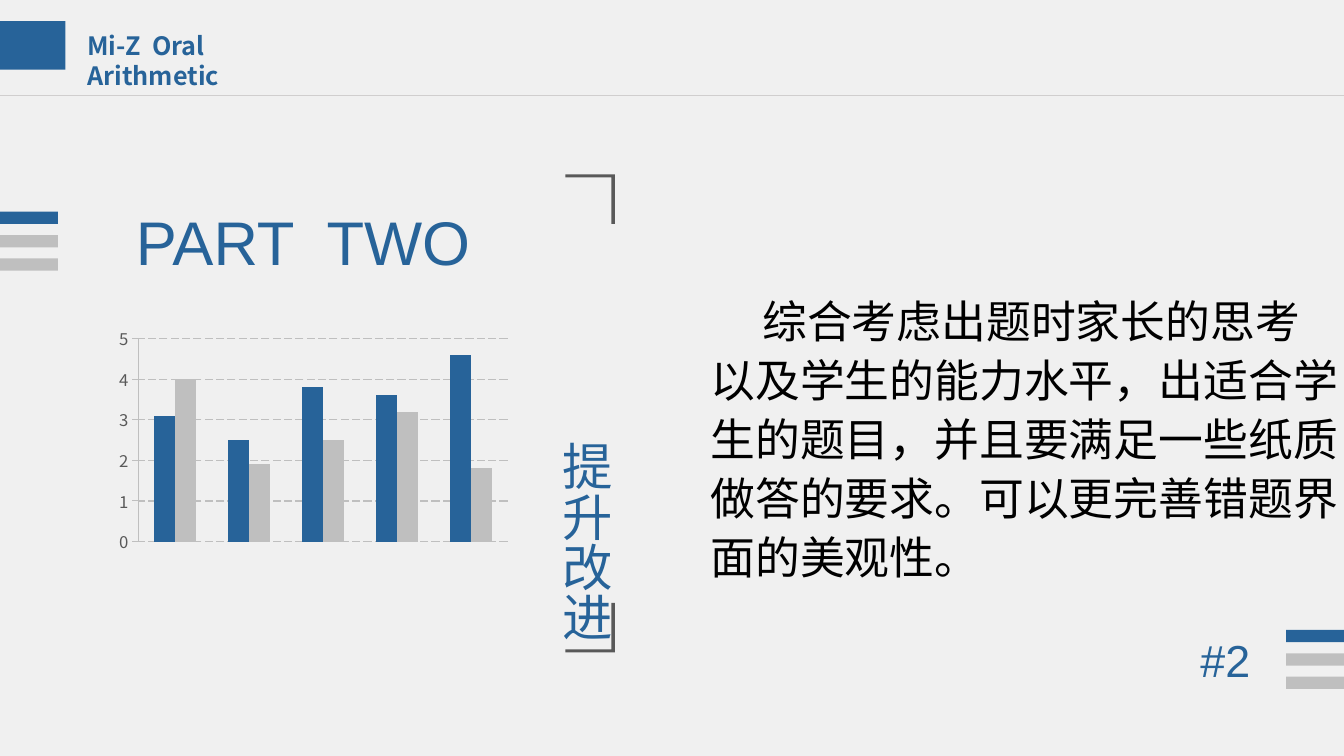
from dataclasses import dataclass

from lxml.etree import SubElement
from pptx import Presentation
from pptx.chart.data import CategoryChartData
from pptx.dml.color import RGBColor
from pptx.enum.chart import XL_CHART_TYPE as ChartType, XL_TICK_MARK as TickMark
from pptx.enum.dml import MSO_LINE_DASH_STYLE as Dash
from pptx.enum.shapes import MSO_CONNECTOR as Connector, MSO_SHAPE as Shape
from pptx.enum.text import MSO_AUTO_SIZE as AutoSize
from pptx.oxml import parse_xml
from pptx.oxml.ns import nsdecls, qn
from pptx.util import Pt


@dataclass(frozen=True)
class Theme:
    background: str = "F0F0F0"
    blue: str = "276399"
    gray: str = "BFBFBF"
    rule: str = "D0CECE"
    dark: str = "595959"
    black: str = "000000"
    latin: str = "Arial"
    chinese: str = "Noto Sans CJK SC"
    header: str = "Noto Sans CJK JP"
    title_size: float = 44
    vertical_size: float = 36
    body_size: float = 32
    header_size: float = 18
    axis_size: float = 12
    chart_size: float = 10


THEME = Theme()


def color(value):
    return RGBColor.from_string(value)


def add_block(slide, left, top, width, height, fill, preset=Shape.RECTANGLE):
    shape = slide.shapes.add_shape(preset, Pt(left), Pt(top), Pt(width), Pt(height))
    shape.shadow.inherit = False
    shape.fill.solid()
    shape.fill.fore_color.rgb = color(fill)
    shape.line.fill.background()
    return shape


def add_stripes(slide, left, top):
    for index, fill in enumerate((THEME.blue, THEME.gray, THEME.gray)):
        add_block(slide, left, top + index * 16.7, 41.3, 8.8, fill)


def add_corner(slide, top, flipped=False):
    """Add a thin right-hand bracket, opening down or, if flipped, up."""
    corner = add_block(slide, 403.9, top, 35.3, 35.3, THEME.dark, Shape.CORNER)
    corner.adjustments[0] = 0.06
    corner.adjustments[1] = 0.07
    corner.rotation = 180
    if flipped:
        corner.element.spPr.find(qn("a:xfrm")).set("flipV", "1")


def add_text(slide, text, left, top, width, height, *, size, font, fill=THEME.blue,
             bold=False, wrap=False, vertical=False, line_spacing=None, first_indent=0):
    box = slide.shapes.add_textbox(Pt(left), Pt(top), Pt(width), Pt(height))
    frame = box.text_frame
    frame.word_wrap = wrap
    frame.auto_size = AutoSize.SHAPE_TO_FIT_TEXT
    if vertical:
        box.element.txBody.find(qn("a:bodyPr")).set("vert", "eaVert")
    paragraph = frame.paragraphs[0]
    paragraph.line_spacing = line_spacing
    if first_indent:
        paragraph._p.get_or_add_pPr().set("indent", str(Pt(first_indent)))
    run = paragraph.add_run()
    run.text = text
    run.font.size = Pt(size)
    run.font.bold = bold
    run.font.color.rgb = color(fill)
    run.font.name = font
    SubElement(run._r.get_or_add_rPr(), qn("a:ea"), typeface=font)


def add_rule(slide, top, width):
    line = slide.shapes.add_connector(Connector.STRAIGHT, 0, Pt(top), width, Pt(top))
    line.line.color.rgb = color(THEME.rule)
    line.line.width = Pt(0.5)
    SubElement(line._element.spPr, qn("a:effectLst"))


def set_plot_area(chart, left, top, width, height):
    plot_area = chart._chartSpace.find(qn("c:chart")).find(qn("c:plotArea"))
    old = plot_area.find(qn("c:layout"))
    if old is not None:
        plot_area.remove(old)
    values = {"x": left, "y": top, "w": width, "h": height}
    parts = "".join(f'<c:{name} val="{value}"/>' for name, value in values.items())
    plot_area.insert(0, parse_xml(
        f'<c:layout {nsdecls("c")}><c:manualLayout><c:layoutTarget val="inner"/>'
        f'<c:xMode val="edge"/><c:yMode val="edge"/>{parts}</c:manualLayout></c:layout>'))


def style_value_axis(axis):
    axis.minimum_scale, axis.maximum_scale, axis.major_unit = 0, 5, 1
    axis.major_tick_mark = TickMark.OUTSIDE
    axis.minor_tick_mark = TickMark.NONE
    for line in (axis.format.line, axis.major_gridlines.format.line):
        line.color.rgb = color(THEME.gray)
        line.width = Pt(0.75)
    axis.major_gridlines.format.line.dash_style = Dash.LONG_DASH
    font = axis.tick_labels.font
    font.size = Pt(THEME.axis_size)
    font.name = THEME.chinese
    font.color.rgb = color(THEME.dark)


def add_columns(slide, left, top, width, height, categories, series):
    data = CategoryChartData()
    data.categories = categories
    for name, values, _ in series:
        data.add_series(name, values)
    chart = slide.shapes.add_chart(ChartType.COLUMN_CLUSTERED, Pt(left), Pt(top),
                                   Pt(width), Pt(height), data).chart
    chart.has_legend = False
    chart.has_title = False
    chart.font.size = Pt(THEME.chart_size)
    chart.font.name = THEME.chinese
    chart.font.color.rgb = color(THEME.black)
    chart.category_axis.visible = False
    style_value_axis(chart.value_axis)
    plot = chart.plots[0]
    plot.gap_width = 150
    plot.overlap = 0
    plot.vary_by_categories = False
    for bars, (_, _, fill) in zip(plot.series, series):
        bars.format.fill.solid()
        bars.format.fill.fore_color.rgb = color(fill)
    set_plot_area(chart, 0.09, 0.01, 0.91, 0.89)


def main():
    presentation = Presentation()
    presentation.slide_width, presentation.slide_height = Pt(960), Pt(540)
    slide = presentation.slides.add_slide(presentation.slide_layouts[6])
    slide.background.fill.solid()
    slide.background.fill.fore_color.rgb = color(THEME.background)

    add_stripes(slide, 0, 151.2)
    add_corner(slide, 124.6)
    add_corner(slide, 430.6, flipped=True)
    add_text(slide, "PART  TWO", 90, 141.8, 272.9, 60.5,
             size=THEME.title_size, font=THEME.latin)
    add_text(slide, "提升改进", 385, 308.2, 58.3, 151.2,
             size=THEME.vertical_size, font=THEME.chinese, vertical=True)
    add_stripes(slide, 918.7, 450)
    add_text(slide, "#2", 850.3, 448.6, 56.2, 46.1,
             size=THEME.body_size, font=THEME.latin)

    add_rule(slide, 68.4, presentation.slide_width)
    add_block(slide, 0, 15.1, 46.8, 34.6, THEME.blue)
    add_text(slide, "Mi-Z  Oral Arithmetic", 55.4, 18, 187.9, 28.8,
             size=THEME.header_size, font=THEME.header, bold=True, wrap=True)

    add_columns(slide, 72.7, 233.3, 290.2, 169.9, ["1", "2", "3", "4", "5"], [
        ("Series 1", (3.1, 2.5, 3.8, 3.6, 4.6), THEME.blue),
        ("Series 2", (4, 1.9, 2.5, 3.2, 1.8), THEME.gray),
    ])
    add_text(slide, "综合考虑出题时家长的思考以及学生的能力水平，出适合学生的题目，"
             "并且要满足一些纸质做答的要求。可以更完善错题界面的美观性。",
             500.4, 202.3, 465.8, 220.3, size=THEME.body_size, font=THEME.chinese,
             fill=THEME.black, wrap=True, line_spacing=1.1, first_indent=37)

    presentation.save("out.pptx")


if __name__ == "__main__":
    main()
